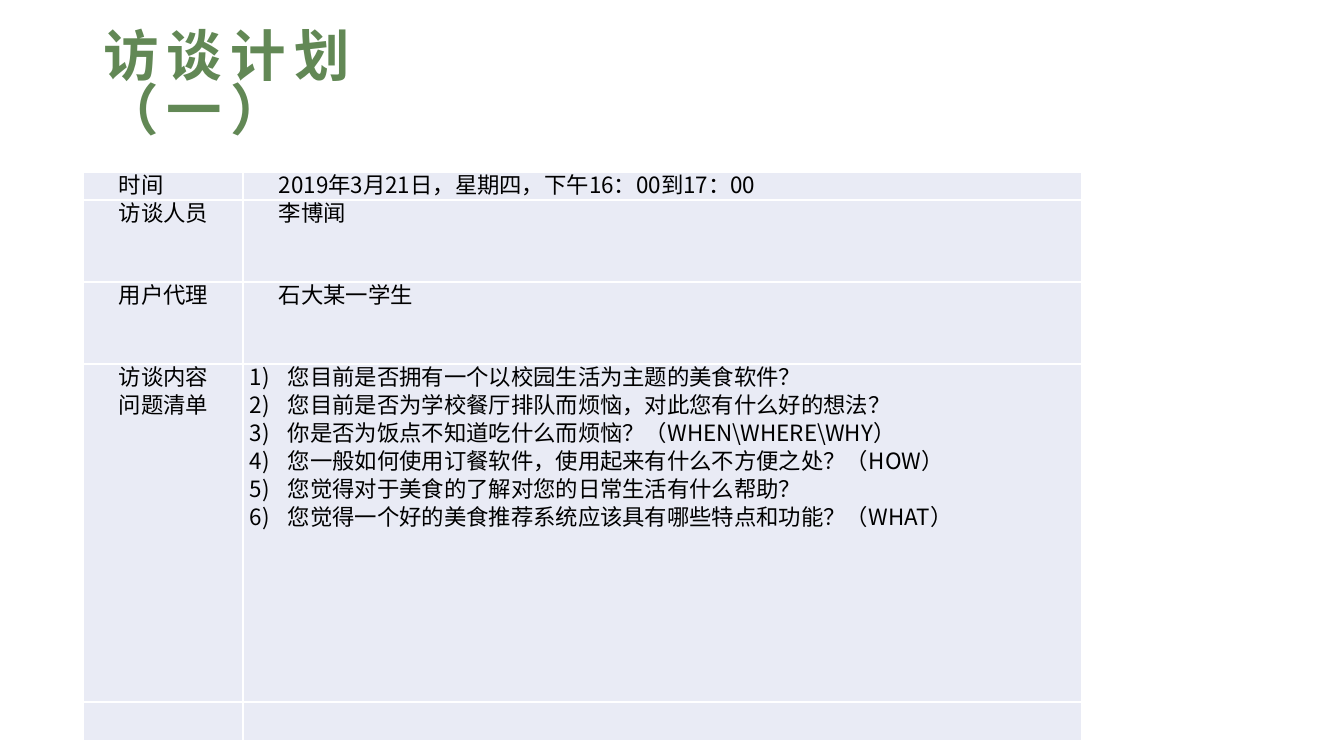
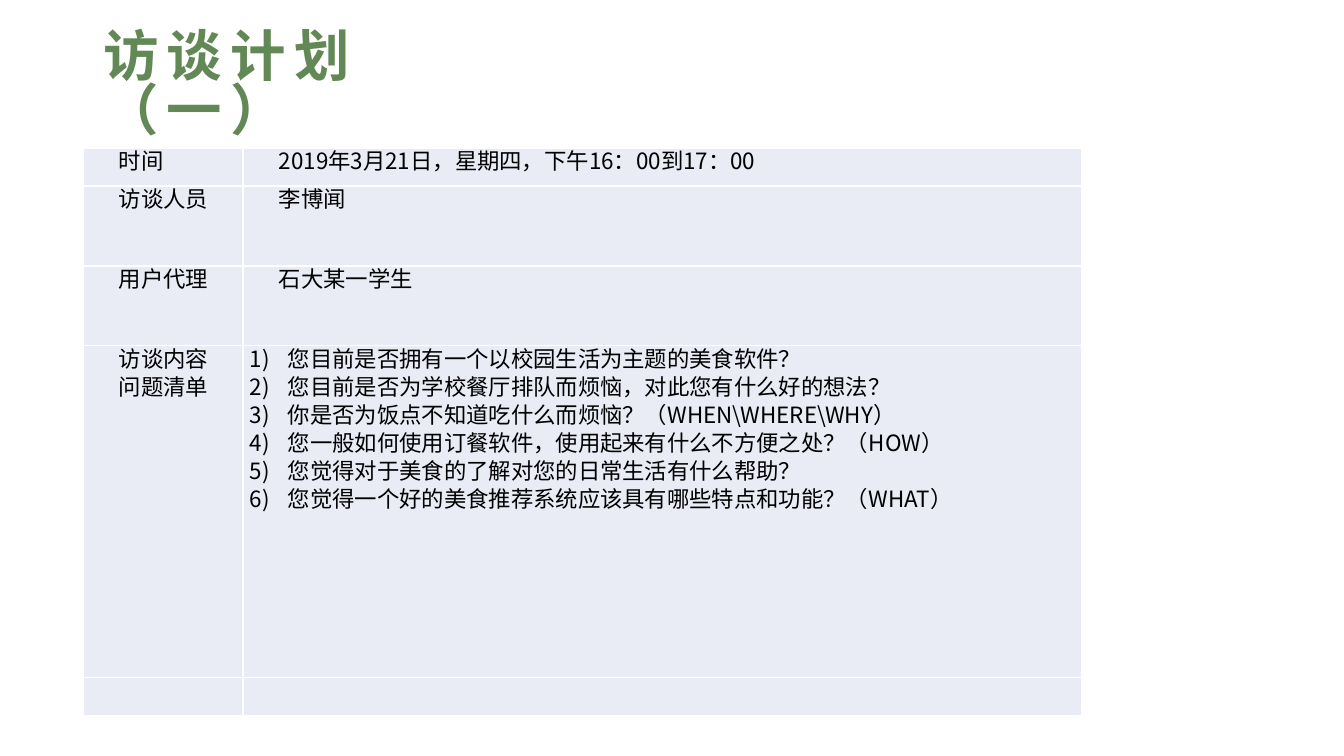
from lxml import etree
from pptx import Presentation
from pptx.dml.color import RGBColor
from pptx.enum import text
from pptx.oxml import ns
from pptx.util import Emu, Pt

TITLE = "访谈计划（一）"
QUESTIONS = [
    "您目前是否拥有一个以校园生活为主题的美食软件？",
    "您目前是否为学校餐厅排队而烦恼，对此您有什么好的想法？",
    "你是否为饭点不知道吃什么而烦恼？（WHEN\\WHERE\\WHY）",
    "您一般如何使用订餐软件，使用起来有什么不方便之处？（HOW）",
    "您觉得对于美食的了解对您的日常生活有什么帮助？",
    "您觉得一个好的美食推荐系统应该具有哪些特点和功能？（WHAT）",
]
PLAN = [
    (["时间"], ["2019年3月21日，星期四，下午16：00到17：00"]),
    (["访谈人员"], ["李博闻"]),
    (["用户代理"], ["石大某一学生"]),
    (["访谈内容", "问题清单"], QUESTIONS),
    ([], []),
]
SLIDES = [
    {"top": 172, "rows": [28, 82, 82, 338, 39]},
    {"top": 148, "rows": [38, 80, 80, 332, 38]},
]
THEME = {
    "font": "Noto Sans CJK SC",
    "title": {"size": Pt(39.6), "bold": True, "color": "628855"},
    "body": {"size": Pt(16), "bold": False, "color": "000000"},
    "cell": "E9EBF5",
    "border": "FFFFFF",
    "title_spacing": 6,
}
TITLE_BOX = {"left": 93, "top": 40, "width": 410, "height": 94}
TABLE_LEFT = 83
COLUMNS = [160, 839]
CELL_MARGIN = 7
FIRST_LINE = 29
HANGING = 38


def px(value):
    return Emu(round(value * 914400 / 100.8))


def apply(target, values):
    for name, value in values.items():
        setattr(target, name, value)


def add_run(paragraph, content, style):
    run = paragraph.add_run()
    run.text = content
    apply(run.font, {"size": style["size"], "bold": style["bold"], "name": THEME["font"]})
    run.font.color.rgb = RGBColor.from_string(style["color"])
    properties = run.font._element
    properties.set("lang", "zh-CN")
    etree.SubElement(properties, ns.qn("a:ea"), typeface=THEME["font"])
    return properties


def add_title(slide):
    title = slide.shapes.title
    apply(title, {name: px(value) for name, value in TITLE_BOX.items()})
    apply(title.text_frame, {
        "word_wrap": True,
        "auto_size": text.MSO_AUTO_SIZE.NONE,
        "vertical_anchor": text.MSO_ANCHOR.MIDDLE,
    })
    paragraph = title.text_frame.paragraphs[0]
    apply(paragraph, {"alignment": text.PP_ALIGN.LEFT, "line_spacing": 0.82})
    properties = add_run(paragraph, TITLE, THEME["title"])
    properties.set("spc", str(THEME["title_spacing"] * 100))


def add_borders(cell):
    properties = cell._tc.get_or_add_tcPr()
    for index, side in enumerate(["lnL", "lnR", "lnT", "lnB"]):
        line = etree.Element(ns.qn(f"a:{side}"), w=str(Pt(1)))
        fill = etree.SubElement(line, ns.qn("a:solidFill"))
        etree.SubElement(fill, ns.qn("a:srgbClr"), val=THEME["border"])
        properties.insert(index, line)


def fill_cell(cell, lines):
    apply(cell, {
        "margin_left": px(CELL_MARGIN), "margin_right": px(CELL_MARGIN),
        "margin_top": 0, "margin_bottom": 0,
    })
    cell.fill.solid()
    cell.fill.fore_color.rgb = RGBColor.from_string(THEME["cell"])
    add_borders(cell)
    numbered = lines is QUESTIONS
    margin, indent = (HANGING, -HANGING) if numbered else (0, FIRST_LINE)
    frame = cell.text_frame
    for index, content in enumerate(lines):
        paragraph = frame.add_paragraph() if index else frame.paragraphs[0]
        alignment = text.PP_ALIGN.LEFT if numbered else text.PP_ALIGN.JUSTIFY
        apply(paragraph, {"alignment": alignment, "line_spacing": Pt(20)})
        properties = paragraph._p.get_or_add_pPr()
        properties.set("marL", str(px(margin)))
        properties.set("indent", str(px(indent)))
        if numbered:
            etree.SubElement(properties, ns.qn("a:buAutoNum"), type="arabicParenR")
        add_run(paragraph, content, THEME["body"])


def add_plan(slide, top, rows):
    frame = slide.shapes.add_table(
        len(rows), len(COLUMNS), px(TABLE_LEFT), px(top), px(sum(COLUMNS)), px(sum(rows)))
    table = frame.table
    apply(table, {"first_row": False, "horz_banding": False})
    for column, width in zip(table.columns, COLUMNS):
        column.width = px(width)
    for row, height, contents in zip(table.rows, rows, PLAN):
        row.height = px(height)
        for cell, lines in zip(row.cells, contents):
            fill_cell(cell, lines)


def main():
    presentation = Presentation()
    apply(presentation, {"slide_width": px(1344), "slide_height": px(756)})
    for layout in SLIDES:
        slide = presentation.slides.add_slide(presentation.slide_layouts[5])
        add_title(slide)
        add_plan(slide, **layout)
    presentation.save("out.pptx")


if __name__ == "__main__":
    main()
